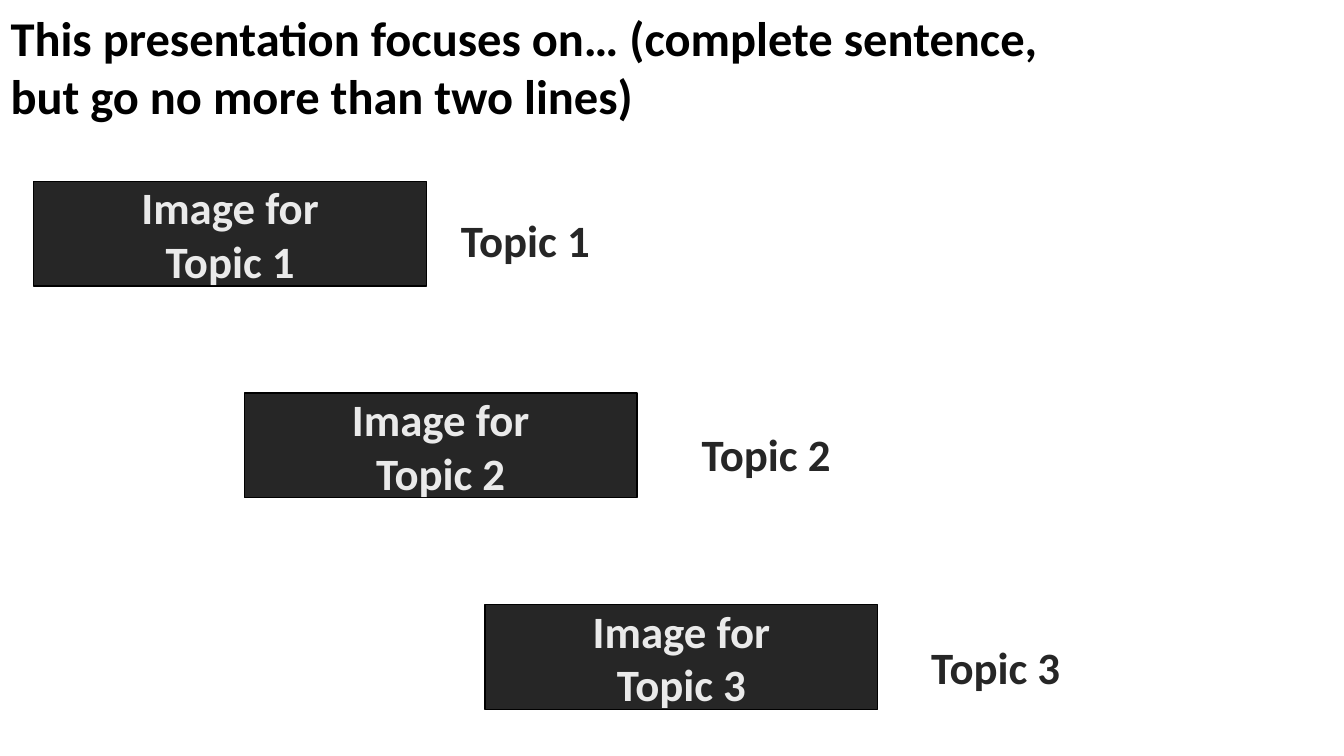
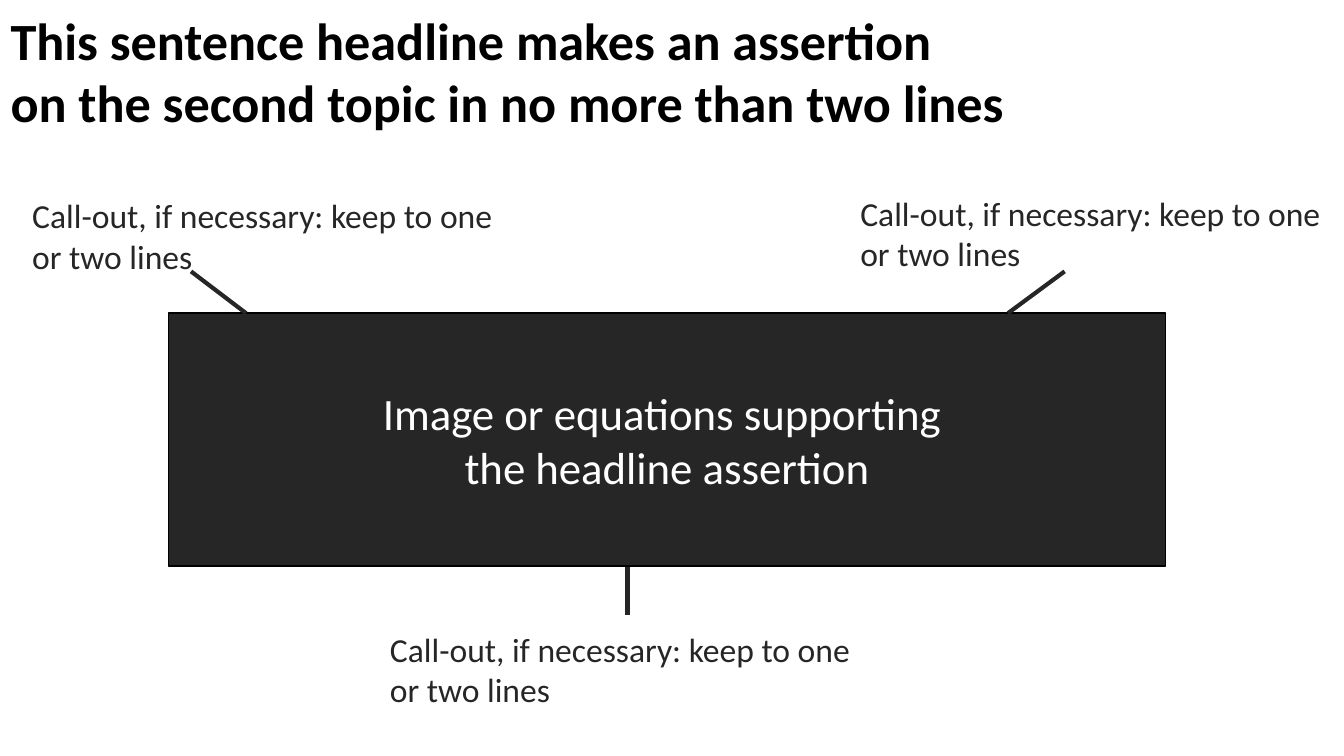
from dataclasses import dataclass

from lxml import etree
from pptx import Presentation
from pptx.dml.color import RGBColor
from pptx.enum.shapes import MSO_CONNECTOR, MSO_SHAPE
from pptx.enum.text import MSO_ANCHOR, MSO_AUTO_SIZE, PP_ALIGN
from pptx.oxml.ns import qn
from pptx.shapes.autoshape import Shape
from pptx.slide import Slide
from pptx.text.text import TextFrame
from pptx.util import Cm, Pt

RECTANGLE = MSO_SHAPE.RECTANGLE
STRAIGHT = MSO_CONNECTOR.STRAIGHT
TOP, MIDDLE = MSO_ANCHOR.TOP, MSO_ANCHOR.MIDDLE
LEFT, CENTER = PP_ALIGN.LEFT, PP_ALIGN.CENTER
NO_FIT = MSO_AUTO_SIZE.NONE
TITLE_ONLY = 5


@dataclass(frozen=True)
class Theme:
    font: str = "Calibri"
    paper: RGBColor = RGBColor(0xFF, 0xFF, 0xFF)
    black: RGBColor = RGBColor(0x00, 0x00, 0x00)
    dark: RGBColor = RGBColor(0x26, 0x26, 0x26)
    pale: RGBColor = RGBColor(0xEA, 0xEA, 0xEA)
    overview_title: int = 26
    assertion_title: int = 28
    block: int = 24
    callout: int = 18
    outline: float = 0.75
    leader: float = 2.25


THEME = Theme()


@dataclass(frozen=True)
class Area:
    left: float
    top: float
    width: float
    height: float

    def lengths(self) -> tuple[Cm, Cm, Cm, Cm]:
        return Cm(self.left), Cm(self.top), Cm(self.width), Cm(self.height)


@dataclass(frozen=True)
class TextStyle:
    size: int
    color: RGBColor
    bold: bool = False
    align: PP_ALIGN = LEFT


@dataclass(frozen=True)
class Topic:
    name: str
    card_left: float
    label_left: float


@dataclass(frozen=True)
class Leader:
    start: tuple[float, float]
    end: tuple[float, float]


LABEL = TextStyle(THEME.block, THEME.dark, bold=True)
CARD = TextStyle(THEME.block, THEME.pale, bold=True, align=CENTER)
PANEL = TextStyle(THEME.block, THEME.paper, align=CENTER)
CALLOUT = TextStyle(THEME.callout, THEME.dark)

TOPICS = (
    Topic("Topic 1", 0.64, 8.53),
    Topic("Topic 2", 4.62, 13.08),
    Topic("Topic 3", 9.17, 17.42),
)
CARD_TOP, CARD_STEP = 3.43, 4.0
LABEL_TOP, LABEL_STEP = 3.94, 4.04

CALLOUT_TEXT = "Call-out, if necessary: keep to one or two lines"
CALLOUT_CORNERS = ((0.43, 3.61), (16.08, 3.56), (7.19, 11.81))
LOWER_LEADER = Leader((11.86, 10.36), (11.86, 11.63))
UPPER_LEADERS = (
    Leader((3.61, 5.13), (4.65, 5.92)),
    Leader((20.12, 5.13), (19.05, 5.92)),
)


def set_insets(frame: TextFrame, across: float, down: float) -> None:
    frame.margin_left = frame.margin_right = Cm(across)
    frame.margin_top = frame.margin_bottom = Cm(down)


def write_paragraphs(
    frame: TextFrame, paragraphs: list[list[str]], style: TextStyle
) -> None:
    for index, lines in enumerate(paragraphs):
        para = frame.add_paragraph() if index else frame.paragraphs[0]
        para.alignment = style.align
        for number, line in enumerate(lines):
            if number:
                para.add_line_break()
            span = para.add_run()
            span.text = line
            span.font.name = THEME.font
            span.font.size = Pt(style.size)
            span.font.bold = style.bold
            span.font.color.rgb = style.color


def add_page(deck: Presentation, area: Area, lines: list[str], size: int) -> Slide:
    page = deck.slides.add_slide(deck.slide_layouts[TITLE_ONLY])
    page.background.fill.solid()
    page.background.fill.fore_color.rgb = THEME.paper
    title = page.shapes.title
    title.left, title.top, title.width, title.height = area.lengths()
    frame = title.text_frame
    frame.word_wrap = True
    frame.auto_size = NO_FIT
    frame.vertical_anchor = TOP
    set_insets(frame, 0, 0)
    write_paragraphs(frame, [lines], TextStyle(size, THEME.black, bold=True))
    return page


def add_text(page: Slide, area: Area, text: str, style: TextStyle) -> Shape:
    box = page.shapes.add_textbox(*area.lengths())
    box.text_frame.word_wrap = True
    set_insets(box.text_frame, 0.18, 0.08)
    write_paragraphs(box.text_frame, [[text]], style)
    return box


def add_block(
    page: Slide, area: Area, paragraphs: list[list[str]], style: TextStyle
) -> Shape:
    block = page.shapes.add_shape(RECTANGLE, *area.lengths())
    block.shadow.inherit = False
    block.fill.solid()
    block.fill.fore_color.rgb = THEME.dark
    block.line.color.rgb = THEME.black
    block.line.width = Pt(THEME.outline)
    frame = block.text_frame
    frame.word_wrap = True
    frame.vertical_anchor = MIDDLE
    set_insets(frame, 0.25, 0.13)
    write_paragraphs(frame, paragraphs, style)
    return block


def add_leader(page: Slide, leader: Leader) -> None:
    ends = [Cm(value) for value in (*leader.start, *leader.end)]
    connector = page.shapes.add_connector(STRAIGHT, *ends)
    connector.line.color.rgb = THEME.dark
    connector.line.width = Pt(THEME.leader)
    etree.SubElement(connector._element.spPr, qn("a:effectLst"))


def build_overview(deck: Presentation) -> None:
    page = add_page(
        deck,
        Area(0.2, 0.15, 25.1, 2.24),
        [
            "This presentation focuses on… (complete sentence, ",
            "but go no more than two lines)",
        ],
        THEME.overview_title,
    )
    for row, topic in enumerate(TOPICS):
        label_area = Area(topic.label_left, LABEL_TOP + row * LABEL_STEP, 3.3, 1.17)
        card_area = Area(topic.card_left, CARD_TOP + row * CARD_STEP, 7.42, 1.98)
        add_text(page, label_area, topic.name, LABEL)
        add_block(page, card_area, [["Image for"], [topic.name]], CARD)


def build_assertion(deck: Presentation) -> None:
    page = add_page(
        deck,
        Area(0.2, 0.15, 24.77, 2.39),
        [
            "This sentence headline makes an assertion ",
            "on the second topic in no more than two lines",
        ],
        THEME.assertion_title,
    )
    add_leader(page, LOWER_LEADER)
    add_block(
        page,
        Area(3.18, 5.92, 18.85, 4.78),
        [["Image or equations supporting ", "the headline assertion"]],
        PANEL,
    )
    for leader in UPPER_LEADERS:
        add_leader(page, leader)
    for left, top in CALLOUT_CORNERS:
        add_text(page, Area(left, top, 9.1, 1.27), CALLOUT_TEXT, CALLOUT)


def main() -> None:
    deck = Presentation()
    deck.slide_width, deck.slide_height = Cm(25.4), Cm(14.29)
    build_overview(deck)
    build_assertion(deck)
    deck.save("out.pptx")


if __name__ == "__main__":
    main()
